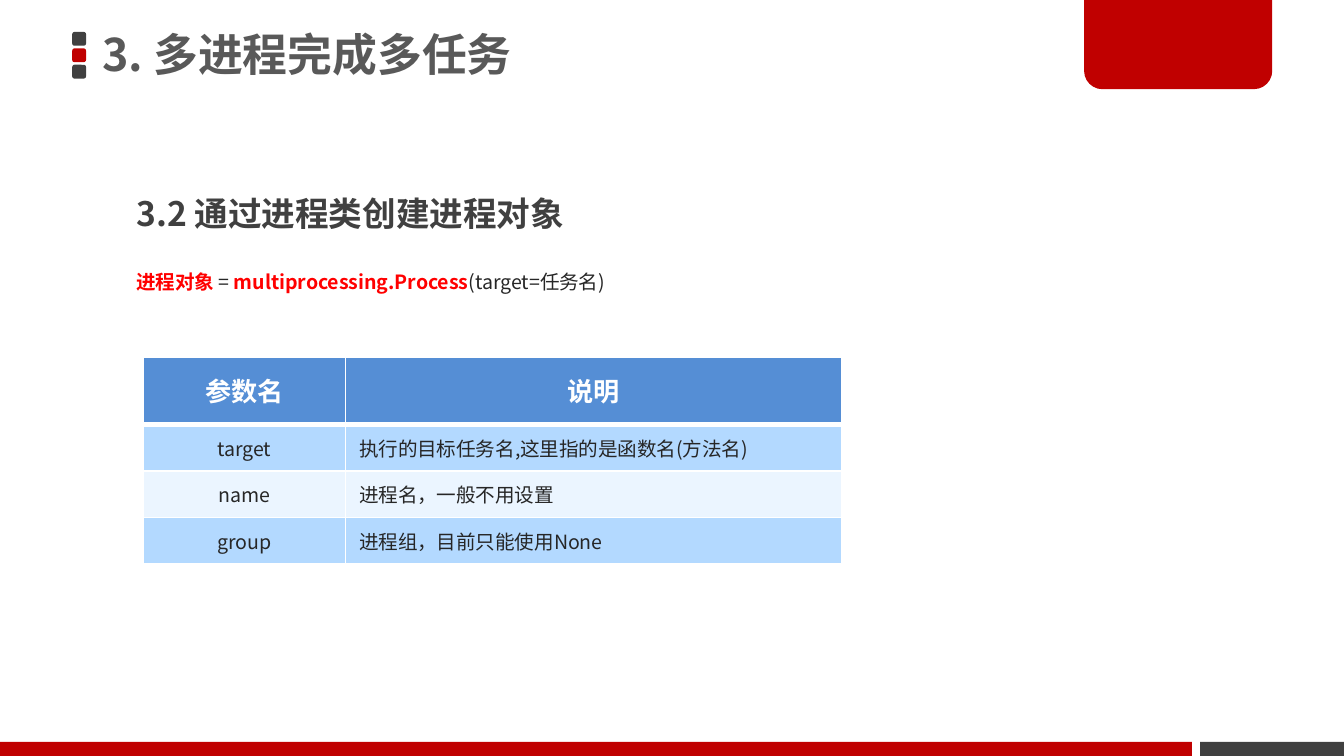
from pptx import Presentation
from pptx.dml.color import RGBColor
from pptx.enum.shapes import MSO_SHAPE as Shape
from pptx.enum.text import MSO_ANCHOR as Anchor, MSO_AUTO_SIZE as AutoSize, PP_ALIGN as Align
from pptx.oxml.ns import qn
from pptx.util import Pt
from lxml.etree import SubElement

RED, DARK, WHITE, INK, KEYWORD = "C00000", "404040", "FFFFFF", "262626", "FF0000"
HEADER, BAND, PALE = "558ED5", "B3D9FF", "EBF5FF"


def color(hex_code):
    return RGBColor.from_string(hex_code)


class Deck:
    """Holds the font and the current slide."""

    def __init__(self, slide, font):
        self.slide, self.font = slide, font

    def add_run(self, paragraph, text, size, ink, bold=False):
        run = paragraph.add_run()
        run.text = text
        font = run.font
        font.name, font.size, font.bold = self.font, Pt(size), bold
        font.color.rgb = color(ink)
        SubElement(run._r.get_or_add_rPr(), qn("a:ea"), typeface=self.font)

    def title(self, text, left, top, width, height, size, ink):
        heading = self.slide.shapes.title
        heading.left, heading.top = Pt(left), Pt(top)
        heading.width, heading.height = Pt(width), Pt(height)
        frame = heading.text_frame
        frame.word_wrap, frame.auto_size = True, AutoSize.NONE
        frame.vertical_anchor = Anchor.MIDDLE
        frame.margin_left = frame.margin_right = Pt(5)
        frame.margin_top = frame.margin_bottom = Pt(2.7)
        line = frame.paragraphs[0]
        line.alignment, line.line_spacing = Align.LEFT, 0.9
        self.add_run(line, text, size, ink, True)

    def block(self, preset, left, top, width, height, fill, *adjustments):
        block = self.slide.shapes.add_shape(preset, Pt(left), Pt(top), Pt(width), Pt(height))
        for i, value in enumerate(adjustments):
            block.adjustments[i] = value
        block.shadow.inherit = False
        block.fill.solid()
        block.fill.fore_color.rgb = color(fill)
        block.line.fill.background()

    def text(self, runs, left, top, width, height, size):
        frame = self.slide.shapes.add_textbox(Pt(left), Pt(top), Pt(width), Pt(height)).text_frame
        frame.word_wrap = True
        line = frame.paragraphs[0]
        line.line_spacing = 1.5
        for words, ink, bold in runs:
            self.add_run(line, words, size, ink, bold)

    def border(self, cell, **widths):
        """Draw white borders; widths are keyed by side: L, R, T, B."""
        properties = cell._tc.get_or_add_tcPr()
        for i, (side, width) in enumerate(widths.items()):
            edge = properties.makeelement(qn(f"a:ln{side}"), {"w": str(Pt(width))})
            SubElement(SubElement(edge, qn("a:solidFill")), qn("a:srgbClr"), val=WHITE)
            properties.insert(i, edge)

    def table(self, rows, left, top, widths, heights):
        grid = self.slide.shapes.add_table(len(rows), len(widths), Pt(left), Pt(top),
                                           Pt(sum(widths)), Pt(sum(heights))).table
        for column, width in zip(grid.columns, widths):
            column.width = Pt(width)
        for r, (row, height) in enumerate(zip(rows, heights)):
            grid.rows[r].height = Pt(height)
            for c, words in enumerate(row):
                cell = grid.cell(r, c)
                line = cell.text_frame.paragraphs[0]
                line.alignment = Align.CENTER if r == 0 or c == 0 else Align.LEFT
                cell.fill.solid()
                if r == 0:
                    line.line_spacing = Pt(24)
                    cell.fill.fore_color.rgb = color(HEADER)
                    self.add_run(line, words, 14, WHITE, True)
                else:
                    cell.vertical_anchor = Anchor.MIDDLE
                    cell.fill.fore_color.rgb = color(BAND if r % 2 else PALE)
                    self.add_run(line, words, 10.5, INK)
                self.border(cell, L=1, R=1, T=3 if r == 1 else 1, B=3 if r == 0 else 1)


def main():
    prs = Presentation()
    prs.slide_width, prs.slide_height = Pt(720), Pt(405)
    deck = Deck(prs.slides.add_slide(prs.slide_layouts[5]), "Noto Sans CJK SC")

    for i, fill in enumerate((DARK, RED, DARK)):
        deck.block(Shape.ROUNDED_RECTANGLE, 38.7, 17.1 + 8.8 * i, 7.4, 7.4, fill, 0.167)
    deck.block(Shape.RECTANGLE, 643, 397.5, 77, 7.5, DARK)
    deck.block(Shape.ROUND_2_SAME_RECTANGLE, 580.8, -1.4, 100.8, 49.2, RED, 0, 0.2)
    deck.block(Shape.RECTANGLE, 0, 397.5, 638.6, 7.5, RED)

    deck.title("3. 多进程完成多任务", 49.7, -1.4, 424, 64, 24, "595959")
    deck.text([("3.2 通过进程类创建进程对象", DARK, True)], 66, 89.3, 276.5, 36, 18)
    deck.text([("进程对象 ", KEYWORD, True), ("= ", INK, False),
               ("multiprocessing.Process", KEYWORD, True),
               ("(target=任务名)", INK, False)], 66, 134.6, 384.5, 26.6, 10.5)
    deck.table([("参数名", "说明"),
                ("target", "执行的目标任务名,这里指的是函数名(方法名)"),
                ("name", "进程名，一般不用设置"),
                ("group", "进程组，目前只能使用None")],
               76.6, 191.5, (108.6, 265.6), (35.8, 25, 25, 25))
    prs.save("out.pptx")


if __name__ == "__main__":
    main()
